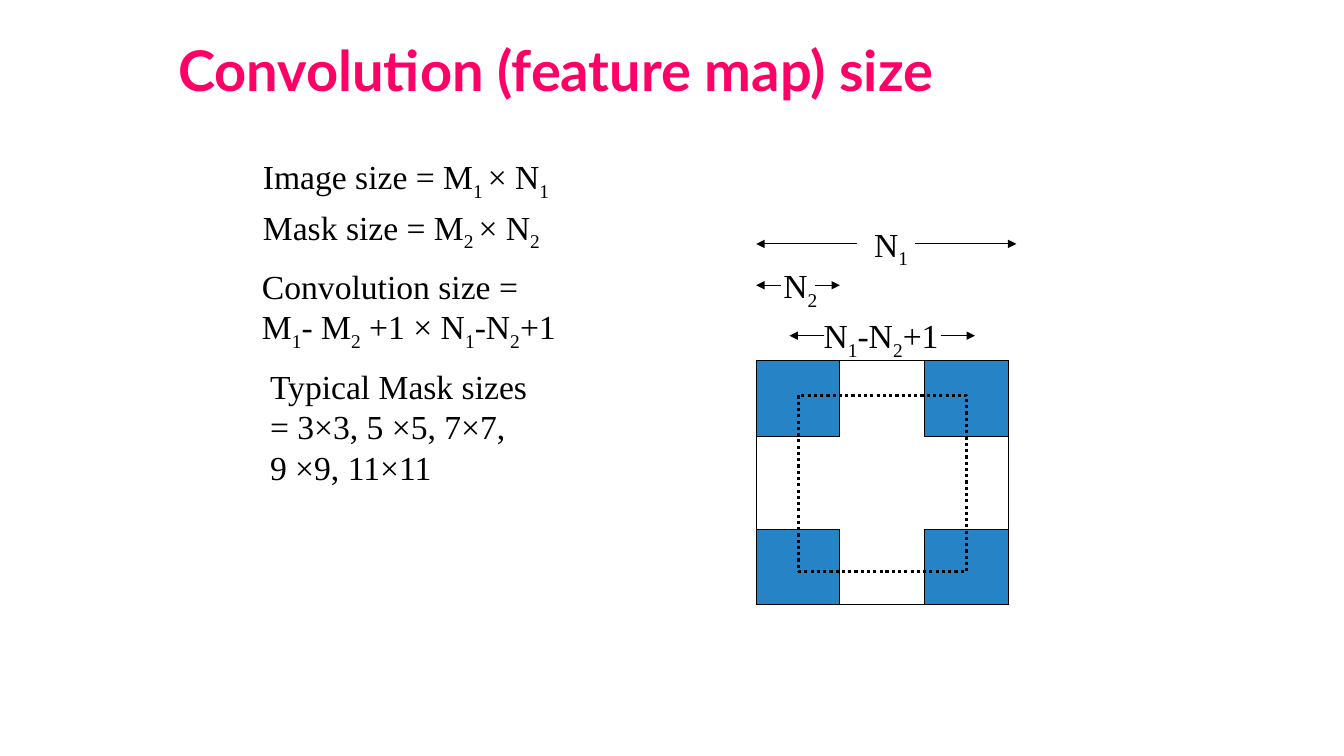
from lxml import etree
from pptx import Presentation
from pptx import util as u
from pptx.dml.color import RGBColor
from pptx.enum import dml, shapes, text
from pptx.oxml import ns

HUES = {"title": "FF0066", "ink": "000000", "mask": "2683C6"}


class Deck:
    """Hold the style and the current slide, and draw its elements."""

    face, size = "Times New Roman", 24

    def __init__(self):
        self.prs = Presentation()
        self.prs.slide_width = u.Inches(13.33)
        self.prs.slide_height = u.Inches(7.5)
        self.slide = self.prs.slides.add_slide(self.prs.slide_layouts[6])

    def hue(self, name):
        return RGBColor.from_string(HUES[name])

    def label(self, box, lines, wrap=False, face=face, size=size, hue="ink",
              bold=False, low=False, gap=1.0):
        shape = self.slide.shapes.add_textbox(*map(u.Inches, box))
        frame = shape.text_frame
        frame.word_wrap = wrap
        frame.vertical_anchor = text.MSO_ANCHOR.BOTTOM if low else text.MSO_ANCHOR.TOP
        for row, line in enumerate(lines):
            para = frame.paragraphs[0] if row == 0 else frame.add_paragraph()
            para.line_spacing = gap
            for part, words in enumerate(line.split("|")):
                run = para.add_run()
                run.text = words
                run.font.name, run.font.size = face, u.Pt(size)
                run.font.bold = bold
                run.font.color.rgb = self.hue(hue)
                if part % 2:
                    run.font._element.set("baseline", "-25000")

    def rect(self, box, fill=None, width=0.75, dash=None):
        shape = self.slide.shapes.add_shape(
            shapes.MSO_SHAPE.RECTANGLE, *map(u.Inches, box))
        shape.shadow.inherit = False
        if fill:
            shape.fill.solid()
            shape.fill.fore_color.rgb = self.hue(fill)
        else:
            shape.fill.background()
        shape.line.color.rgb = self.hue("ink")
        shape.line.width = u.Pt(width)
        if dash:
            shape.line.dash_style = dash

    def arrow(self, start, end, y):
        line = self.slide.shapes.add_connector(
            shapes.MSO_CONNECTOR.STRAIGHT,
            *map(u.Inches, (start, y, end, y)))
        line.line.color.rgb = self.hue("ink")
        line.line.width = u.Pt(0.75)
        etree.SubElement(line.line._get_or_add_ln(), ns.qn("a:tailEnd"), type="triangle")
        etree.SubElement(line._element.spPr, ns.qn("a:effectLst"))

    def span(self, name, box, left, right, y, wrap=False):
        self.label(box, [name], wrap=wrap)
        for start, end in (left, right):
            self.arrow(start, end, y)


def main():
    deck = Deck()
    deck.label((1.67, 0, 10, 1.08), ["Convolution (feature map) size"], wrap=True,
               face="Lato", size=40, hue="title", bold=True, low=True, gap=0.9)

    deck.label((2.51, 1.5, 3.07, 0.5), ["Image size = M|1 |× N|1"])
    deck.label((2.51, 2, 2.98, 0.5), ["Mask size = M|2 |× N|2"])
    deck.label((2.5, 2.59, 3.14, 0.91),
               ["Convolution size =", "M|1|- M|2| +1 × N|1|-N|2|+1"], wrap=True)
    deck.label((2.58, 3.58, 2.8, 1.31),
               ["Typical Mask sizes", "= 3×3, 5 ×5, 7×7,", "9 ×9, 11×11"])

    left, top, wide, high = 7.5, 3.58, 2.5, 2.42
    mask_w, mask_h = 0.83, 0.75
    deck.rect((left, top, wide, high))
    for x in (left, left + wide - mask_w):
        for y in (top, top + high - mask_h):
            deck.rect((x, y, mask_w, mask_h), fill="mask")
    deck.rect((7.92, 3.92, 1.67, 1.75), width=2.25,
              dash=dml.MSO_LINE.ROUND_DOT)

    deck.span("N|1", (8.57, 2.17, 0.55, 0.5), (8.5, left), (9.08, 10.08), 2.42)
    deck.span("N|2", (7.67, 2.58, 0.55, 0.5), (7.75, left), (8.08, 8.33), 2.83,
              wrap=True)
    deck.span("N|1|-N|2|+1", (8.07, 3.08, 1.37, 0.5), (8.17, 7.83), (9.33, 9.67), 3.33)
    deck.prs.save("out.pptx")


if __name__ == "__main__":
    main()
